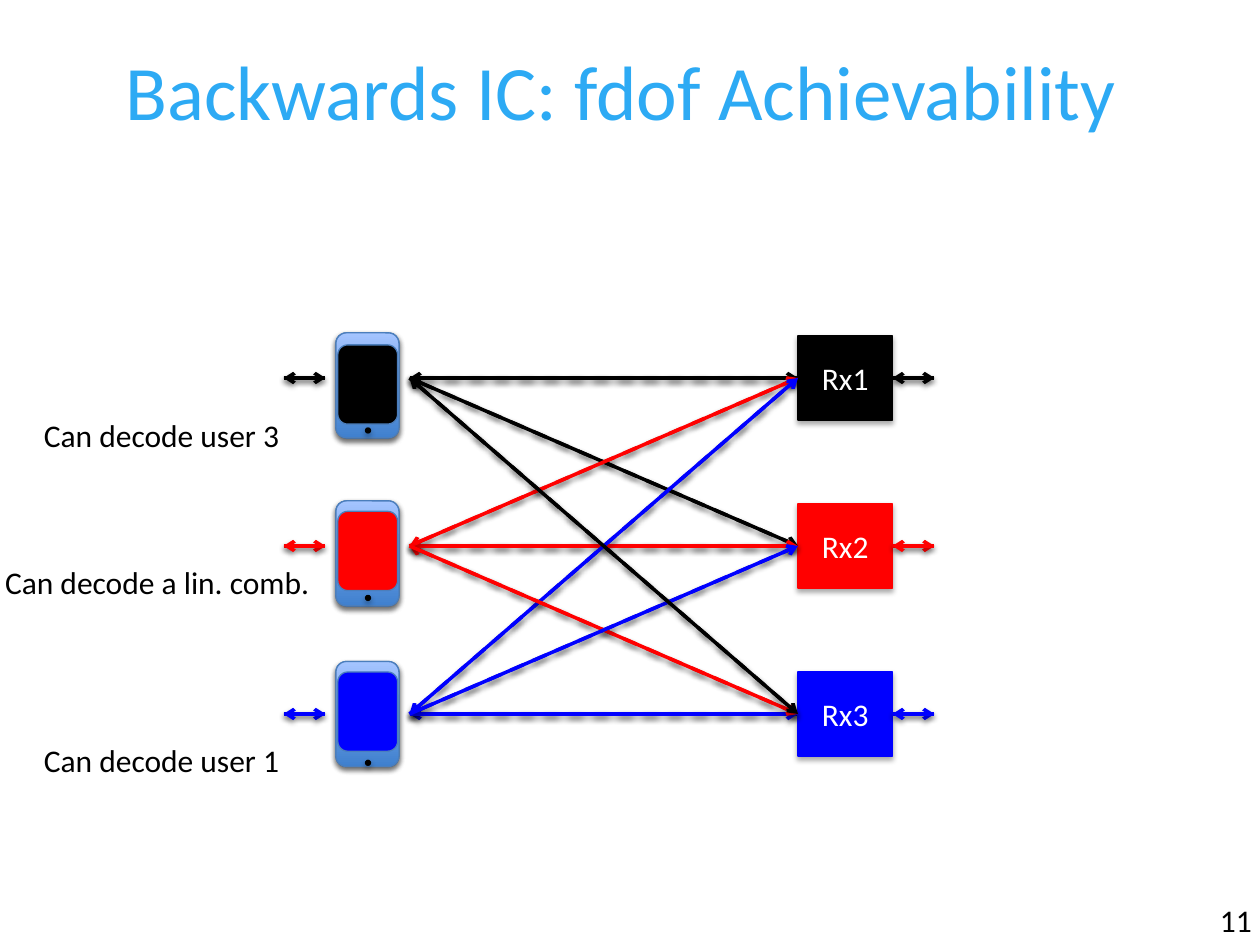
from dataclasses import dataclass
from typing import Optional

from pptx import Presentation
from pptx.dml.color import RGBColor
from pptx.enum.dml import MSO_LINE
from pptx.enum.shapes import MSO_CONNECTOR, MSO_SHAPE
from pptx.enum.text import MSO_ANCHOR, PP_ALIGN
from pptx.oxml import parse_xml
from pptx.oxml.ns import nsdecls
from pptx.util import Inches, Pt

COLORS = {
    "black": "000000", "red": "FF0000", "blue": "0000FF", "white": "FFFFFF",
    "title": "2DAAF4", "phone_low": "3F80CE", "phone_high": "A4C4FF",
    "phone_edge": "4B7EBC",
}
COLS, ROWS = 120, 90
WIDTH, HEIGHT = Inches(10), Inches(7.5)
TX_COL, RX_COL = 39, 76
STUB_COLS = (27, 85)
STUB_SPAN = 4
PHONE_COL = 32
LINKS = ((0, 0), (0, 1), (1, 1), (2, 2), (1, 0), (2, 0), (1, 2), (2, 1), (0, 2))


@dataclass(frozen=True)
class User:
    color: str
    row: float
    phone: float
    screen: float
    button: float
    receiver: str


@dataclass(frozen=True)
class Label:
    text: str
    col: float
    row: float
    cols: float
    rows: float = 4.8
    size: int = 18
    color: str = "black"
    align: Optional[PP_ALIGN] = None
    wrap: bool = False


USERS = (
    User("black", 36, 31.7, 32.85, 40.7, "Rx1"),
    User("red", 52, 47.7, 48.7, 56.65, "Rx2"),
    User("blue", 68, 63, 64, 72.35, "Rx3"),
)
LABELS = (
    Label("11", 115, 85.2, 6.5),
    Label("Backwards IC: fdof Achievability ", 0, 3.6, COLS, 15, 44, "title",
          PP_ALIGN.CENTER, True),
)
NOTES = (
    Label("Can decode user 3", 3, 39, 25),
    Label("Can decode a lin. comb.", -0.7, 53, 31.7),
    Label("Can decode user 1", 3, 70, 25),
)


def x(col: float) -> int:
    return round(WIDTH * col / COLS)


def y(row: float) -> int:
    return round(HEIGHT * row / ROWS)


def rgb(name: str) -> RGBColor:
    return RGBColor.from_string(COLORS[name])


def apply(target, values: dict) -> None:
    for name, value in values.items():
        setattr(target, name, value)


def add_shadow(sp, distance: int, alpha: int) -> None:
    sp._element.spPr.append(parse_xml(
        f'<a:effectLst {nsdecls("a")}><a:outerShdw blurRad="40000" dist="{distance}" '
        'dir="5400000" rotWithShape="0"><a:srgbClr val="000000">'
        f'<a:alpha val="{alpha * 1000}"/></a:srgbClr></a:outerShdw></a:effectLst>'))


def write(tf, text: str, size: int, color: str, align: Optional[PP_ALIGN]) -> None:
    p = tf.paragraphs[0]
    p.alignment = align
    r = p.add_run()
    apply(r, {"text": text})
    apply(r.font, {"name": "Calibri", "size": Pt(size)})
    r.font.color.rgb = rgb(color)


def add_label(s, label: Label) -> None:
    tf = s.shapes.add_textbox(
        x(label.col), y(label.row), x(label.cols), y(label.rows)).text_frame
    apply(tf, {"word_wrap": label.wrap, "vertical_anchor": MSO_ANCHOR.TOP})
    write(tf, label.text, label.size, label.color, label.align)


def add_arrow(s, start: tuple, end: tuple, color: str, tip: str,
              dashed: bool = False) -> None:
    sp = s.shapes.add_connector(
        MSO_CONNECTOR.STRAIGHT, x(start[0]), y(start[1]), x(end[0]), y(end[1]))
    sp.line.color.rgb = rgb(color)
    apply(sp.line, {"width": Pt(2), "dash_style": MSO_LINE.DASH if dashed else None})
    sp.line._get_or_add_ln().append(
        parse_xml(f'<a:{tip} {nsdecls("a")} type="arrow"/>'))
    add_shadow(sp, 20000, 38)


def add_block(s, kind: MSO_SHAPE, box: tuple, fill: Optional[str],
              edge: Optional[str], shadow: bool = True):
    col, row, cols, rows = box
    sp = s.shapes.add_shape(kind, x(col), y(row), x(cols), y(rows))
    sp.shadow.inherit = not shadow and False
    if fill:
        sp.fill.solid()
        sp.fill.fore_color.rgb = rgb(fill)
    else:
        sp.fill.gradient()
        sp.fill.gradient_angle = 90
        for stop, name in zip(sp.fill.gradient_stops, ("phone_low", "phone_high")):
            stop.color.rgb = rgb(name)
    if edge:
        sp.line.color.rgb = rgb(edge)
        sp.line.width = Pt(0.75)
    else:
        sp.line.fill.background()
    if shadow:
        sp._element.spPr.remove(sp._element.spPr.effectLst)
        add_shadow(sp, 23000, 35)
    return sp


def add_phone(s, user: User) -> None:
    add_block(s, MSO_SHAPE.ROUNDED_RECTANGLE, (PHONE_COL, user.phone, 6, 10),
              None, "phone_edge")


def add_screen(s, user: User) -> None:
    add_block(s, MSO_SHAPE.ROUNDED_RECTANGLE,
              (PHONE_COL + 0.17, user.screen, 5.7, 7.55),
              user.color, "phone_edge", False)


def add_button(s, user: User) -> None:
    add_block(s, MSO_SHAPE.OVAL, (PHONE_COL + 2.75, user.button, 0.6, 0.6),
              "black", None)


def add_receiver(s, user: User) -> None:
    sp = add_block(s, MSO_SHAPE.RECTANGLE, (RX_COL, user.row - 4, 9, 8),
                   user.color, user.color)
    sp.text_frame.vertical_anchor = MSO_ANCHOR.MIDDLE
    write(sp.text_frame, user.receiver, 18, "white", PP_ALIGN.CENTER)


def add_links(s, tip: str, dashed: bool) -> None:
    for sender, receiver in LINKS:
        user = USERS[sender]
        add_arrow(s, (TX_COL, user.row), (RX_COL, USERS[receiver].row),
                  user.color, tip, dashed)


def add_stubs(s, tip: str) -> None:
    for col in STUB_COLS:
        for user in USERS:
            add_arrow(s, (col, user.row), (col + STUB_SPAN, user.row), user.color, tip)


def main() -> None:
    prs = Presentation()
    apply(prs, {"slide_width": WIDTH, "slide_height": HEIGHT})
    s = prs.slides.add_slide(prs.slide_layouts[6])
    for label in LABELS:
        add_label(s, label)
    add_links(s, "headEnd", True)
    for draw in (add_phone, add_receiver):
        for user in USERS:
            draw(s, user)
    add_links(s, "tailEnd", False)
    for draw in (add_phone, add_screen, add_button):
        for user in USERS:
            draw(s, user)
    for tip in ("tailEnd", "headEnd"):
        add_stubs(s, tip)
    for note in NOTES:
        add_label(s, note)
    prs.save("out.pptx")


if __name__ == "__main__":
    main()
